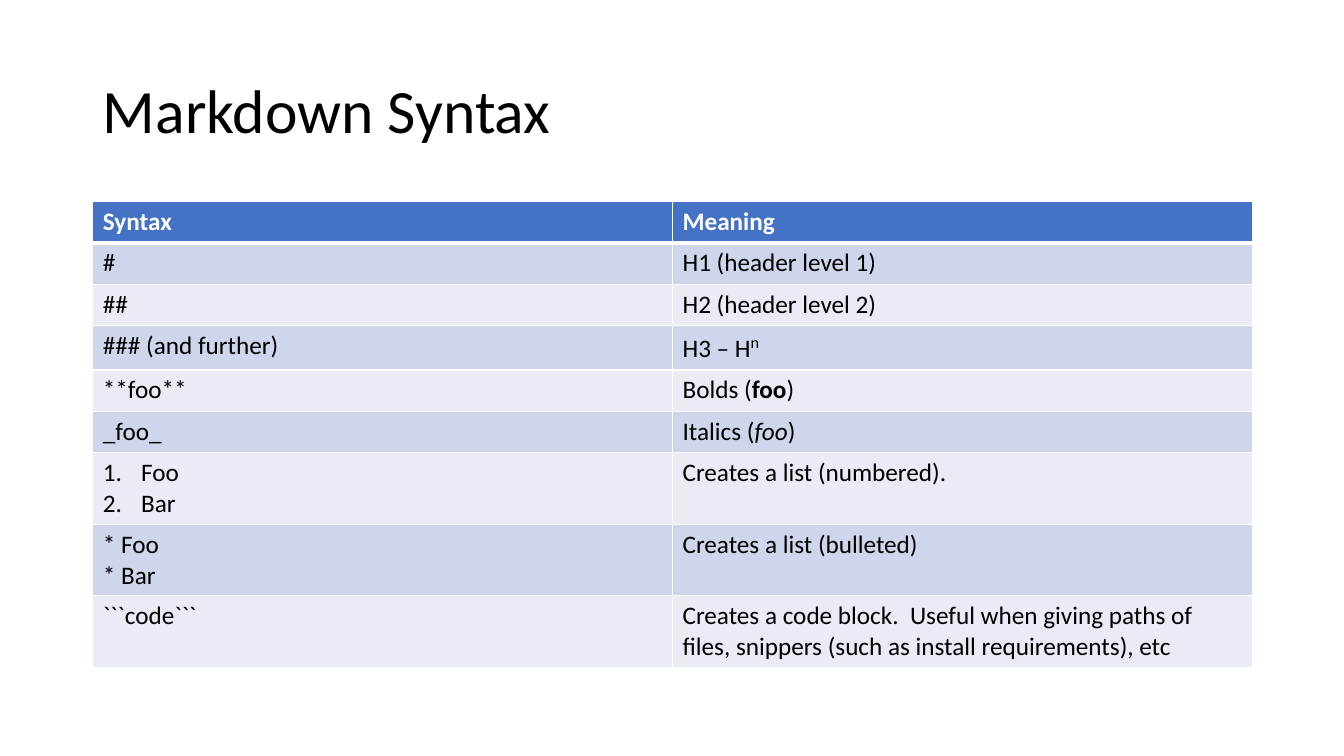
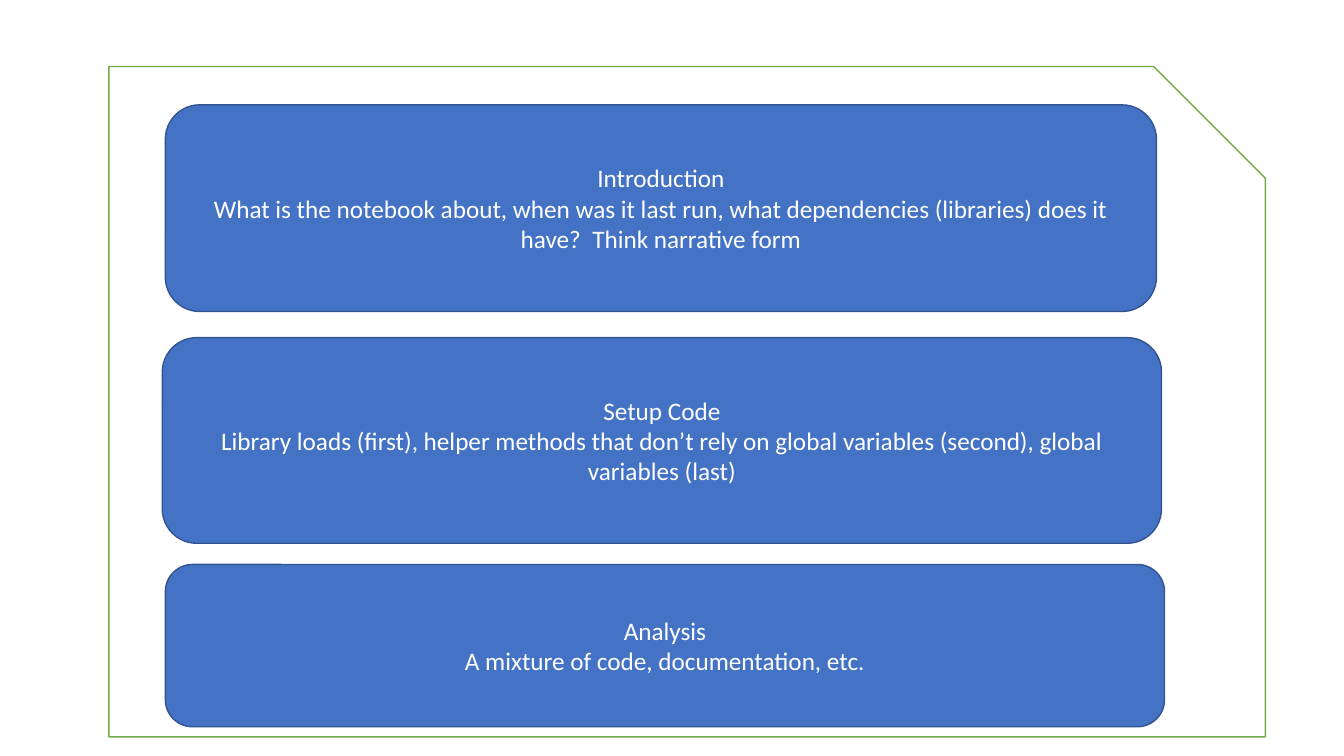
from lxml import etree
from pptx import Presentation
from pptx.dml.color import RGBColor
from pptx.enum.shapes import MSO_SHAPE
from pptx.enum.text import MSO_ANCHOR, PP_ALIGN
from pptx.oxml.ns import qn
from pptx.util import Inches, Pt

ROUNDED, SNIPPED = MSO_SHAPE.ROUNDED_RECTANGLE, MSO_SHAPE.SNIP_1_RECTANGLE
MIDDLE = MSO_ANCHOR.MIDDLE
LEFT, CENTER = PP_ALIGN.LEFT, PP_ALIGN.CENTER

FONT = "Calibri"
COLORS = {
    "text": "000000",
    "white": "FFFFFF",
    "blue": "4472C4",
    "blue_line": "325491",
    "green": "70AD47",
    "band_dark": "CFD5EA",
    "band_light": "E9EBF5",
}
TITLE_ONLY, BLANK = 5, 6


def color(name):
    return RGBColor.from_string(COLORS[name])


def set_font(p, size, name):
    p.font.name = FONT
    p.font.size = Pt(size)
    p.font.color.rgb = color(name)


prs = Presentation()
prs.slide_width, prs.slide_height = Inches(13.33), Inches(7.5)

# Slide 1: title
s = prs.slides.add_slide(prs.slide_layouts[TITLE_ONLY])
title = s.shapes.title
title.left, title.top = Inches(0.92), Inches(0.4)
title.width, title.height = Inches(11.5), Inches(1.45)
tf = title.text_frame
tf.text = "Markdown Syntax"
tf.vertical_anchor = MIDDLE
p = tf.paragraphs[0]
p.alignment = LEFT
p.line_spacing = 0.9
set_font(p, 44, "text")

# Each cell is a list of paragraphs, each paragraph a list of (text, style) runs
rows = [
    [[[("Syntax", "bold")]], [[("Meaning", "bold")]]],
    [[[("#", "")]], [[("H1 (header level 1)", "")]]],
    [[[("##", "")]], [[("H2 (header level 2)", "")]]],
    [[[("### (and further)", "")]], [[("H3 – H", ""), ("n", "super")]]],
    [[[("**foo**", "")]], [[("Bolds (", ""), ("foo", "bold"), (")", "")]]],
    [[[("_foo_", "")]], [[("Italics (", ""), ("foo", "italic"), (")", "")]]],
    [[[("Foo", "number")], [("Bar", "number")]],
     [[("Creates a list (numbered).", "")]]],
    [[[("* Foo", "")], [("* Bar", "")]], [[("Creates a list (bulleted)", "")]]],
    [[[("```code```", "")]],
     [[("Creates a code block.  Useful when giving paths of files, "
        "snippers (such as install requirements), etc", "")]]],
]

# Slide 1: table
ROW_H = 0.41
table = s.shapes.add_table(len(rows), 2, Inches(0.92), Inches(2),
                           Inches(11.5), Inches(ROW_H * len(rows))).table
for i, row in enumerate(rows):
    table.rows[i].height = Inches(ROW_H)
    fill = "blue" if i == 0 else "band_dark" if i % 2 else "band_light"
    borders = {"lnL": 1, "lnR": 1,
               "lnT": 3 if i == 1 else 1, "lnB": 3 if i == 0 else 1}
    for j, paragraphs in enumerate(row):
        cell = table.cell(i, j)
        cell.fill.solid()
        cell.fill.fore_color.rgb = color(fill)

        # Cell borders
        tc_pr = cell._tc.get_or_add_tcPr()
        for k, (side, width) in enumerate(borders.items()):
            ln = etree.Element(qn("a:" + side), w=str(Pt(width)))
            solid = etree.SubElement(ln, qn("a:solidFill"))
            etree.SubElement(solid, qn("a:srgbClr"), val=COLORS["white"])
            tc_pr.insert(k, ln)

        # Cell text
        tf = cell.text_frame
        for n, runs in enumerate(paragraphs):
            p = tf.add_paragraph() if n else tf.paragraphs[0]
            set_font(p, 18, "text" if i else "white")
            for text, style in runs:
                r = p.add_run()
                r.text = text
                if style == "bold":
                    r.font.bold = True
                elif style == "italic":
                    r.font.italic = True
                elif style == "super":
                    r.font.size = Pt(20)
                    r._r.get_or_add_rPr().set("baseline", "30000")
                elif style == "number":
                    p_pr = p._p.get_or_add_pPr()
                    p_pr.set("marL", str(Inches(0.38)))
                    p_pr.set("indent", str(-Inches(0.38)))
                    p_pr.insert(0, etree.Element(qn("a:buAutoNum"),
                                                 type="arabicPeriod"))

# Slide 2: page outline, then the three notebook sections
s = prs.slides.add_slide(prs.slide_layouts[BLANK])
shapes = [
    (SNIPPED, (1.08, 0.66, 11.47, 6.65), "white", "green", []),
    (ROUNDED, (1.64, 1.04, 9.83, 2.05), "blue", "blue_line", [
        "Introduction",
        "What is the notebook about, when was it last run, what dependencies "
        "(libraries) does it have?  Think narrative form"]),
    (ROUNDED, (1.61, 3.35, 9.91, 2.04), "blue", "blue_line", [
        "Setup Code",
        "Library loads (first), helper methods that don’t rely on global "
        "variables (second), global variables (last)"]),
    (ROUNDED, (1.64, 5.6, 9.91, 1.61), "blue", "blue_line", [
        "Analysis",
        "A mixture of code, documentation, etc."]),
]
for kind, box, fill, line, lines in shapes:
    sp = s.shapes.add_shape(kind, *[Inches(v) for v in box])
    sp.shadow.inherit = False
    sp.fill.solid()
    sp.fill.fore_color.rgb = color(fill)
    sp.line.color.rgb = color(line)
    sp.line.width = Pt(1)
    tf = sp.text_frame
    tf.word_wrap = True
    tf.vertical_anchor = MIDDLE
    for n, text in enumerate(lines):
        p = tf.add_paragraph() if n else tf.paragraphs[0]
        p.text = text
        p.alignment = CENTER
        set_font(p, 18, "white")

prs.save("out.pptx")
